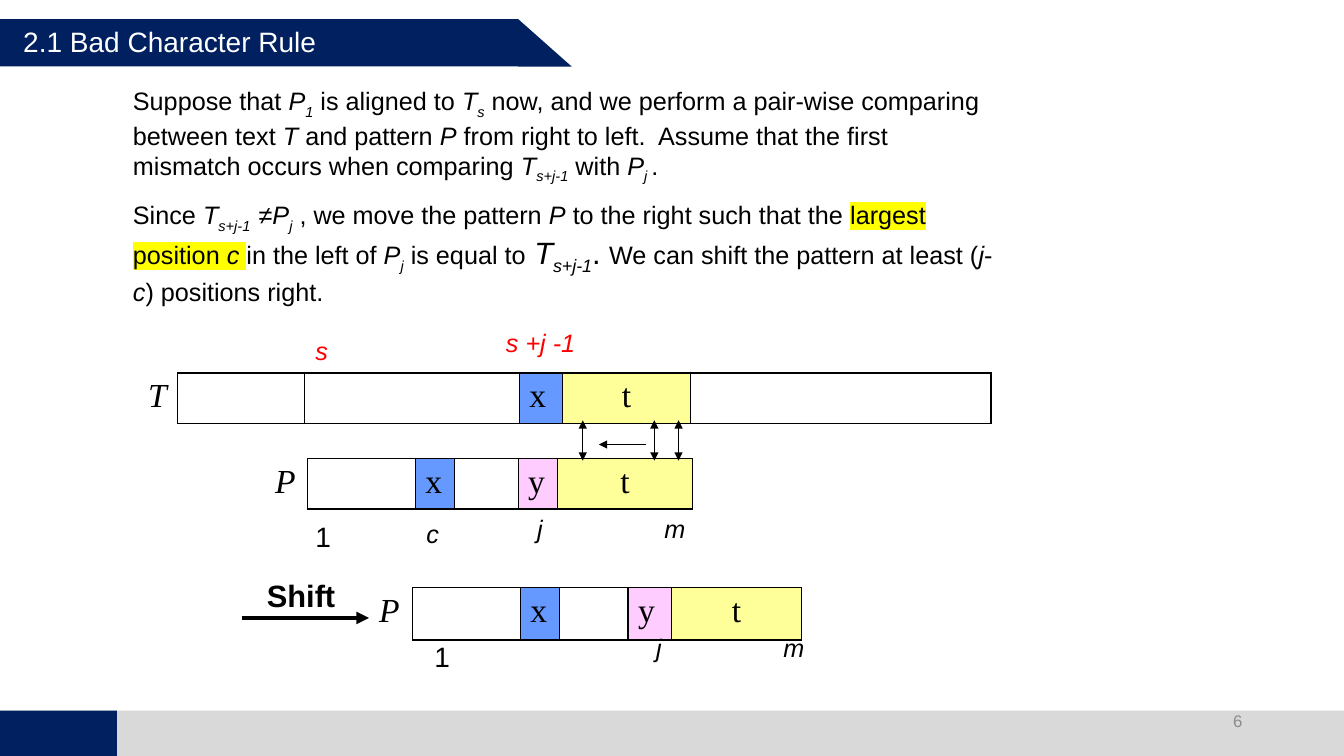
from lxml import etree
from pptx import Presentation
from pptx.dml.color import RGBColor
from pptx.enum.shapes import MSO_CONNECTOR, MSO_SHAPE
from pptx.enum.text import MSO_ANCHOR, PP_ALIGN
from pptx.oxml.ns import qn
from pptx.util import Inches, Pt

RECTANGLE = MSO_SHAPE.RECTANGLE
RIGHT_TRIANGLE = MSO_SHAPE.RIGHT_TRIANGLE
STRAIGHT = MSO_CONNECTOR.STRAIGHT
LEFT, CENTER, RIGHT = PP_ALIGN.LEFT, PP_ALIGN.CENTER, PP_ALIGN.RIGHT
TOP, MIDDLE = MSO_ANCHOR.TOP, MSO_ANCHOR.MIDDLE

COLORS = {
    "navy": "002060", "footer": "D9D9D9", "white": "FFFFFF", "black": "000000",
    "red": "FF0000", "number": "8C8C8C", "highlight": "FFFF00",
    "blue": "6699FF", "pink": "FFCCFF", "yellow": "FFFF99",
}
SYMBOL_FILLS = {"x": "blue", "y": "pink", "t": "yellow"}

EXPLANATION = [
    [("Suppose that ", ""), ("P", "i"), ("1", "is"), (" is aligned to ", ""),
     ("T", "i"), ("s", "is"),
     (" now, and we perform a pair-wise comparing between text ", ""),
     ("T", "i"), (" and pattern ", ""), ("P", "i"),
     (" from right to left.  Assume that the first mismatch occurs when comparing ", ""),
     ("T", "i"), ("s+j-1", "is"), (" with ", ""), ("P", "i"), ("j ", "is"), (".", "")],
    [("Since ", ""), ("T", "i"), ("s+j-1  ", "is"), ("≠", ""), ("P", "i"), ("j", "is"),
     (" , we move the pattern ", ""), ("P", "i"), (" to the right such that the ", ""),
     ("largest position ", "h"), ("c", "ih"), (" ", "h"), ("in the left of ", ""),
     ("P", "i"), ("j", "is"), (" is equal to", ""), (" T", "il"), ("s+j-1", "isl"),
     (". ", "l"), ("We can shift the pattern at least (", ""), ("j", "i"), ("-", ""),
     ("c", "i"), (") positions right.", "")],
]

STRINGS = [
    (1.37, 3.7, 0.5, [0.39, 1.26, 2.13, 0.43, 1.27, 2.98], ["T", "", "", "x", "t", ""]),
    (2.63, 4.55, 0.5, [0.42, 1.07, 0.39, 0.63, 0.39, 1.34], ["P", "", "x", "", "y", "t"]),
    (3.66, 5.83, 0.52, [0.43, 1.07, 0.39, 0.68, 0.43, 1.29], ["P", "", "x", "", "y", "t"]),
]

POSITIONS = [
    ("s", 3.03, 3.28, 0.39, 18, "red", "i"),
    ("s +j -1", 4.92, 3.2, 2.05, 18, "red", "i"),
    ("1", 3.03, 5.1, 0.39, 20, "black", ""),
    ("c", 4.13, 5.09, 0.39, 18, "black", "i"),
    ("j", 5.23, 5.04, 0.39, 18, "black", "i"),
    ("m", 6.49, 5.04, 0.39, 18, "black", "i"),
    ("1", 4.21, 6.29, 0.39, 20, "black", ""),
    ("j", 6.41, 6.22, 0.39, 18, "black", "i"),
    ("m", 7.67, 6.22, 0.39, 18, "black", "i"),
    ("Shift", 2.55, 5.67, 0.94, 22, "black", "b"),
]


class SlideBuilder:
    def __init__(self, slide, font="Arial", symbol_font="Times New Roman"):
        self.slide = slide
        self.font = font
        self.symbol_font = symbol_font

    def color(self, name):
        return RGBColor.from_string(COLORS[name])

    def run(self, paragraph, text, size, color="black", marks="", font=None):
        run = paragraph.add_run()
        run.text = text
        run.font.size = Pt(22 if "l" in marks else size)
        run.font.name = font or self.font
        run.font.bold = "b" in marks
        run.font.italic = "i" in marks
        run.font.color.rgb = self.color(color)
        properties = run.font._element
        if "s" in marks:
            properties.set("baseline", "-25000")
        if "h" in marks:
            highlight = etree.Element(qn("a:highlight"))
            etree.SubElement(highlight, qn("a:srgbClr"), val=COLORS["highlight"])
            properties.find(qn("a:latin")).addprevious(highlight)

    def title(self, text, left, top, width, height):
        title = self.slide.shapes.title
        title.left, title.top = Inches(left), Inches(top)
        title.width, title.height = Inches(width), Inches(height)
        title.text_frame.vertical_anchor = MIDDLE
        paragraph = title.text_frame.paragraphs[0]
        paragraph.alignment = LEFT
        self.run(paragraph, text, 20, "white")
        self.slide.shapes._spTree.append(title._element)

    def block(self, kind, left, top, width, height, color):
        block = self.slide.shapes.add_shape(
            kind, Inches(left), Inches(top), Inches(width), Inches(height))
        block.shadow.inherit = False
        block.fill.solid()
        block.fill.fore_color.rgb = self.color(color)
        block.line.fill.background()

    def text(self, paragraphs, left, top, width, height, size,
             color="black", align=LEFT, anchor=TOP):
        frame = self.slide.shapes.add_textbox(
            Inches(left), Inches(top), Inches(width), Inches(height)).text_frame
        frame.word_wrap = True
        frame.vertical_anchor = anchor
        for index, runs in enumerate(paragraphs):
            paragraph = frame.add_paragraph() if index else frame.paragraphs[0]
            paragraph.alignment = align
            if index:
                paragraph.space_before = Pt(size * 0.6)
            for words, marks in runs:
                self.run(paragraph, words, size, color, marks)

    def borders(self, cell, visible):
        properties = cell._tc.get_or_add_tcPr()
        for side in "LRTB":
            border = etree.SubElement(properties, qn(f"a:ln{side}"), w=str(Pt(1)))
            if side in visible:
                fill = etree.SubElement(border, qn("a:solidFill"))
                etree.SubElement(fill, qn("a:srgbClr"), val=COLORS["black"])
            else:
                etree.SubElement(border, qn("a:noFill"))

    def string(self, left, top, height, widths, symbols):
        table = self.slide.shapes.add_table(
            1, len(widths), Inches(left), Inches(top),
            Inches(sum(widths)), Inches(height)).table
        table.first_row = table.horz_banding = False
        table.rows[0].height = Inches(height)
        for index, (width, symbol) in enumerate(zip(widths, symbols)):
            table.columns[index].width = Inches(width)
            cell = table.cell(0, index)
            self.borders(cell, "LRTB" if index else "R")
            if symbol in SYMBOL_FILLS:
                cell.fill.solid()
                cell.fill.fore_color.rgb = self.color(SYMBOL_FILLS[symbol])
            else:
                cell.fill.background()
            if symbol:
                paragraph = cell.text_frame.paragraphs[0]
                paragraph.alignment = CENTER if symbol == "t" else LEFT
                self.run(paragraph, symbol, 24, marks="" if index else "i",
                         font=self.symbol_font)

    def arrow(self, start, end, weight, ends=("tailEnd",)):
        arrow = self.slide.shapes.add_connector(
            STRAIGHT, *(Inches(value) for value in start + end))
        arrow.line.width = Pt(weight)
        arrow.line.color.rgb = self.color("black")
        for tip in ends:
            etree.SubElement(arrow.line._get_or_add_ln(), qn(f"a:{tip}"), type="triangle")
        etree.SubElement(arrow._element.spPr, qn("a:effectLst"))


def main():
    deck = Presentation()
    deck.slide_width, deck.slide_height = Inches(13.33), Inches(7.5)
    page = SlideBuilder(deck.slides.add_slide(deck.slide_layouts[5]))

    page.block(RECTANGLE, 0, 7.05, 13.33, 0.45, "footer")
    page.block(RECTANGLE, 0, 7.05, 1.16, 0.45, "navy")
    page.block(RECTANGLE, 0, 0.19, 5.14, 0.47, "navy")
    page.block(RIGHT_TRIANGLE, 5.14, 0.19, 0.53, 0.47, "navy")
    page.title("2.1 Bad Character Rule", 0.13, 0.19, 5.18, 0.44)
    page.text(EXPLANATION, 1.22, 0.8, 8.82, 2.4, 18)

    for string in STRINGS:
        page.string(*string)
    for label, left, top, width, size, color, marks in POSITIONS:
        page.text([[(label, marks)]], left, top, width, 0.45, size, color)

    for compared in (5.78, 6.49, 6.73):
        page.arrow((compared, 4.17), (compared, 4.57), 0.75, ("headEnd", "tailEnd"))
    page.arrow((6.41, 4.41), (5.94, 4.41), 0.75)
    page.arrow((2.4, 6.13), (3.66, 6.13), 3)
    page.text([[("6", "")]], 9.42, 6.95, 3, 0.4, 12, "number", RIGHT, MIDDLE)
    deck.save("out.pptx")


if __name__ == "__main__":
    main()
